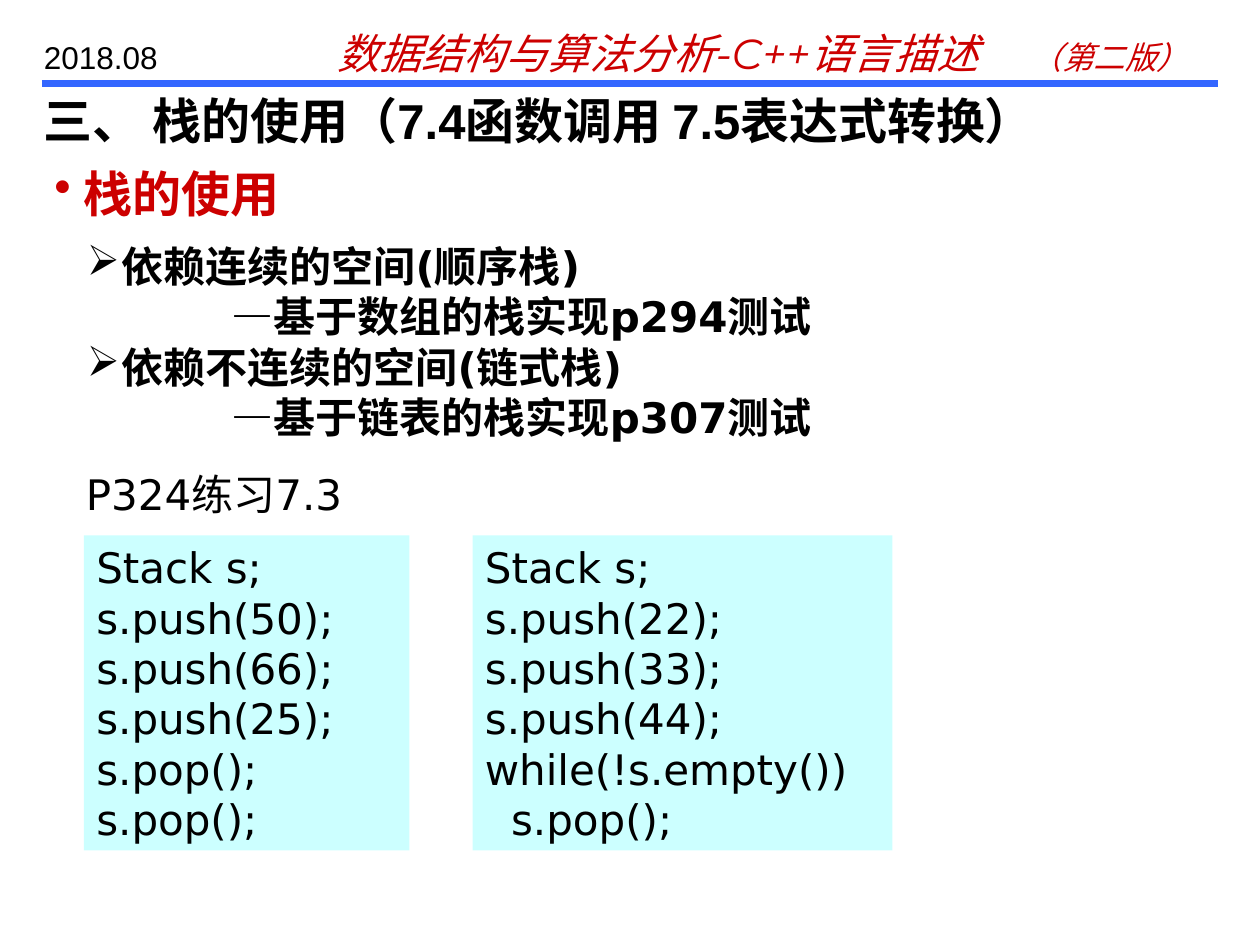
from dataclasses import dataclass

from lxml import etree
from pptx import Presentation
from pptx.dml.color import RGBColor
from pptx.enum.shapes import MSO_CONNECTOR, MSO_SHAPE
from pptx.enum.text import MSO_ANCHOR, MSO_AUTO_SIZE, PP_ALIGN
from pptx.oxml.ns import qn
from pptx.util import Emu, Pt

STRAIGHT = MSO_CONNECTOR.STRAIGHT
RECTANGLE = MSO_SHAPE.RECTANGLE
TOP = MSO_ANCHOR.TOP
GROW = MSO_AUTO_SIZE.SHAPE_TO_FIT_TEXT
NO_FIT = MSO_AUTO_SIZE.NONE
LEFT = PP_ALIGN.LEFT
EMU_PER_PX = 7620  # 120 px to the inch


@dataclass(frozen=True)
class Theme:
    red: str = "CC0000"
    black: str = "000000"
    rule_blue: str = "3366FF"
    code_fill: str = "CCFFFF"
    heading_size: int = 28
    body_size: int = 24
    small_size: int = 18
    rule_width: int = 4
    sans: str = "Arial"
    body: str = "DejaVu Sans"
    header: str = "Montserrat"


THEME = Theme()


@dataclass(frozen=True)
class Style:
    size: int = THEME.body_size
    font: str = THEME.body
    color: str = THEME.black
    bold: bool = False
    italic: bool = False


@dataclass(frozen=True)
class Line:
    runs: tuple[tuple[str, Style], ...]
    bullet: str = ""
    margin: int = 0
    tab: int = 0
    space_before: float = 0


@dataclass(frozen=True)
class Box:
    left: int
    top: int
    width: int
    height: int
    lines: tuple[Line, ...]
    fill: str = ""
    grow: bool = True


def px(length: int) -> Emu:
    return Emu(length * EMU_PER_PX)


def format_paragraph(paragraph, line: Line) -> None:
    paragraph.alignment = LEFT
    paragraph.space_before = Pt(line.space_before)
    properties = paragraph._p.get_or_add_pPr()
    properties.set("marL", str(px(line.margin)))
    properties.set("indent", str(px(-line.margin if line.bullet else 0)))
    if line.bullet:
        color = etree.SubElement(properties, qn("a:buClr"))
        etree.SubElement(color, qn("a:srgbClr"), val=line.runs[0][1].color)
        etree.SubElement(properties, qn("a:buChar"), char=line.bullet)
    if line.tab:
        tabs = etree.SubElement(properties, qn("a:tabLst"))
        etree.SubElement(tabs, qn("a:tab"), pos=str(px(line.tab)), algn="l")


def add_run(paragraph, text: str, style: Style) -> None:
    run = paragraph.add_run()
    run.text = text
    font = run.font
    font.size = Pt(style.size)
    font.name = style.font
    font.bold = style.bold
    font.italic = style.italic
    font.color.rgb = RGBColor.from_string(style.color)


def draw_box(slide, box: Box) -> None:
    frame = px(box.left), px(box.top), px(box.width), px(box.height)
    if box.fill:
        shape = slide.shapes.add_shape(RECTANGLE, *frame)
        shape.shadow.inherit = False
        shape.fill.solid()
        shape.fill.fore_color.rgb = RGBColor.from_string(box.fill)
        shape.line.fill.background()
    else:
        shape = slide.shapes.add_textbox(*frame)
    text_frame = shape.text_frame
    text_frame.word_wrap = True
    text_frame.auto_size = GROW if box.grow else NO_FIT
    text_frame.vertical_anchor = TOP
    for index, line in enumerate(box.lines):
        paragraph = text_frame.add_paragraph() if index else text_frame.paragraphs[0]
        format_paragraph(paragraph, line)
        for text, style in line.runs:
            add_run(paragraph, text, style)


def draw_rule(slide, left: int, right: int, top: int) -> None:
    rule = slide.shapes.add_connector(STRAIGHT, px(left), px(top), px(right), px(top))
    rule.line.color.rgb = RGBColor.from_string(THEME.rule_blue)
    rule.line.width = Pt(THEME.rule_width)
    etree.SubElement(rule._element.spPr, qn("a:effectLst"))


def code_box(left: int, width: int, code: tuple[str, ...], last_margin: int = 0) -> Box:
    last = len(code) - 1
    lines = tuple(
        Line(((text, Style()),), margin=last_margin if index == last else 0)
        for index, text in enumerate(code)
    )
    return Box(left, 510, width, 300, lines, fill=THEME.code_fill)


# Text styles
BOOK = Style(font=THEME.header, color=THEME.red, italic=True)
EDITION = Style(THEME.small_size, THEME.header, THEME.red, italic=True)
DATE = Style(THEME.small_size, THEME.sans)
TITLE = Style(THEME.heading_size, THEME.sans, bold=True)
TOPIC = Style(THEME.heading_size, color=THEME.red, bold=True)
POINT = Style(bold=True)


def point(text: str) -> Line:
    return Line(((text, POINT),), bullet="➢", margin=33)


def detail(text: str) -> Line:
    return Line(((text, POINT),), margin=138)


BOXES = (
    # Page header
    Box(310, 20, 840, 60, (
        Line((("数据结构与算法分析-C++语言描述\t", BOOK), ("（第二版）", EDITION)), tab=648),
    )),
    Box(30, 30, 170, 48, (Line((("2018.08", DATE),), space_before=11.2),)),
    # Topic and title
    Box(40, 150, 1098, 68, (Line((("栈的使用", TOPIC),), bullet="•", margin=28),)),
    Box(30, 80, 1170, 60, (
        Line((("三、 栈的使用（7.4函数调用 7.5表达式转换）", TITLE),)),
    ), grow=False),
    # Kinds of stack
    Box(71, 223, 1012, 204, (
        point("依赖连续的空间(顺序栈)"),
        detail("—基于数组的栈实现p294测试"),
        point("依赖不连续的空间(链式栈)"),
        detail("—基于链表的栈实现p307测试"),
    )),
    # Exercise
    Box(70, 440, 590, 60, (Line((("P324练习7.3", Style()),)),)),
    code_box(80, 310, (
        "Stack s;", "s.push(50);", "s.push(66);", "s.push(25);", "s.pop();", "s.pop();",
    )),
    code_box(450, 400, (
        "Stack s;", "s.push(22);", "s.push(33);", "s.push(44);",
        "while(!s.empty())", "s.pop();",
    ), last_margin=25),
)


def main() -> None:
    presentation = Presentation()
    presentation.slide_width = px(1200)
    presentation.slide_height = px(900)
    slide = presentation.slides.add_slide(presentation.slide_layouts[6])
    draw_rule(slide, 40, 1160, 80)
    for box in BOXES:
        draw_box(slide, box)
    presentation.save("out.pptx")


if __name__ == "__main__":
    main()
